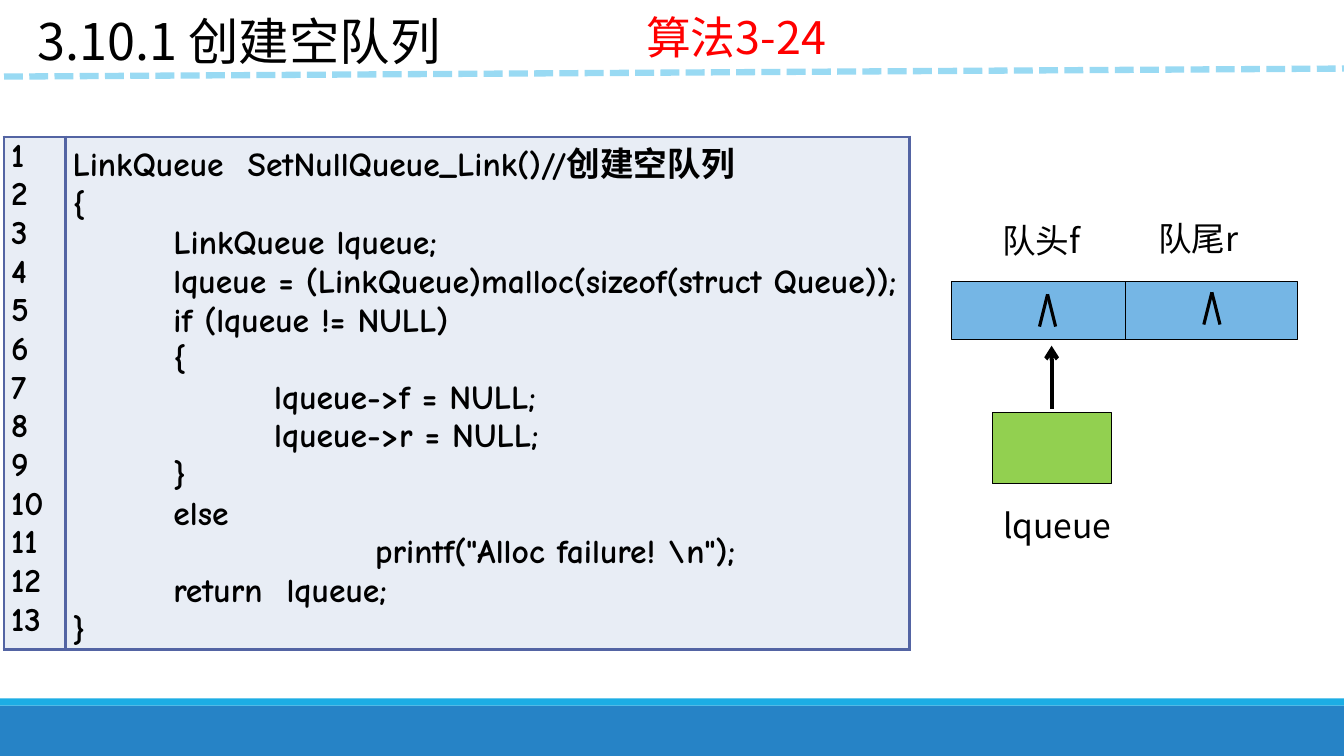
import pptx
import pptx.dml.color
import pptx.enum.dml
import pptx.enum.shapes
import pptx.enum.text
import pptx.oxml
import pptx.oxml.ns
import pptx.util

PX = 9144  # 100 px to the inch
SANS = "Noto Sans CJK SC"
CODE_FONT = "Comic Neue"
BLACK = "000000"
CODE = r"""LinkQueue  SetNullQueue_Link()//创建空队列
{
	LinkQueue lqueue;
	lqueue = (LinkQueue)malloc(sizeof(struct Queue));
	if (lqueue != NULL)
	{
		lqueue->f = NULL;
		lqueue->r = NULL;
	}
	else
			printf("Alloc failure! \n");
	return  lqueue;
}""".split("\n")


def px(*lengths):
    return [pptx.util.Emu(length * PX) for length in lengths]


def color(value):
    return pptx.dml.color.RGBColor.from_string(value)


def add_element(parent, tag, **attributes):
    element = parent.makeelement(pptx.oxml.ns.qn(tag), attributes)
    parent.append(element)
    return element


def style_paragraph(para, size, hue, face, bold=False):
    font = para.font
    font.size = pptx.util.Pt(size)
    font.bold = bold
    font.color.rgb = color(hue)
    font.name = face
    properties = para._p.pPr.find(pptx.oxml.ns.qn("a:defRPr"))
    add_element(properties, "a:ea", typeface=SANS)


def add_tab_stops(para):
    stops = add_element(para._p.get_or_add_pPr(), "a:tabLst")
    for position in px(100, 200, 300):
        add_element(stops, "a:tab", pos=str(position), algn="l")


def add_text(page, place, text, size, hue=BLACK, line_spacing=None):
    box = page.shapes.add_textbox(*px(*place))
    box.text_frame.word_wrap = True
    para = box.text_frame.paragraphs[0]
    para.text = text
    if line_spacing:
        para.line_spacing = pptx.util.Pt(line_spacing)
    style_paragraph(para, size, hue, SANS)


def add_rectangle(page, place, fill, outlined=True):
    kind = pptx.enum.shapes.MSO_SHAPE.RECTANGLE
    box = page.shapes.add_shape(kind, *px(*place))
    box.shadow.inherit = False
    box.fill.solid()
    box.fill.fore_color.rgb = color(fill)
    if outlined:
        box.line.color.rgb = color(BLACK)
        box.line.width = pptx.util.Pt(0.75)
    else:
        box.line.fill.background()


def add_line(shapes, ends, width, hue=BLACK):
    kind = pptx.enum.shapes.MSO_CONNECTOR.STRAIGHT
    line = shapes.add_connector(kind, *px(*ends))
    line.line.color.rgb = color(hue)
    line.line.width = pptx.util.Pt(width)
    add_element(line._element.spPr, "a:effectLst")
    return line


def add_null_mark(page, center, top):
    mark = page.shapes.add_group_shape()
    for side in (-8, 8):
        add_line(mark.shapes, (center, top, center + side, top + 32), 2.25)


def fill_cell(cell, lines):
    cell.margin_left = cell.margin_right = px(7)[0]
    cell.margin_top = cell.margin_bottom = 0
    cell.text = "\n".join(lines)
    for para in cell.text_frame.paragraphs:
        para.alignment = pptx.enum.text.PP_ALIGN.JUSTIFY
        add_tab_stops(para)
        style_paragraph(para, 24, BLACK, CODE_FONT, bold=True)
    properties = cell._tc.get_or_add_tcPr()
    for side in ("a:lnL", "a:lnR", "a:lnT", "a:lnB"):
        border = add_element(properties, side, w=str(pptx.util.Pt(2.25)))
        add_element(add_element(border, "a:solidFill"), "a:srgbClr", val="5364A3")
    cell.fill.solid()
    cell.fill.fore_color.rgb = color("E8EDF5")


def add_code_table(page):
    table = page.shapes.add_table(1, 2, *px(4, 136, 898, 489)).table
    table.first_row = table.horz_banding = False
    table.columns[0].width, table.columns[1].width = px(61, 837)
    fill_cell(table.cell(0, 0), [str(number + 1) for number in range(len(CODE))])
    fill_cell(table.cell(0, 1), CODE)


def add_queue_diagram(page):
    # Labels
    for left, top, width, text in ((1139, 210, 124, "队尾r"),
                                   (984, 212, 130, "队头f"),
                                   (985, 494, 157, "lqueue")):
        add_text(page, (left, top, width, 52), text, 24, line_spacing=30)

    # Front and rear fields, then the queue variable
    for left in (1115, 944):
        add_rectangle(page, (left, 279, 172, 58), "75B6E5")
    add_rectangle(page, (984, 409, 118, 71), "92D050")

    # Pointer and null marks
    pointer = add_line(page.shapes, (1043, 406, 1043, 343), 3)
    add_element(pointer.line._get_or_add_ln(), "a:tailEnd", type="arrow")
    add_null_mark(page, 1039, 292)
    add_null_mark(page, 1202, 290)


def main():
    deck = pptx.Presentation()
    deck.slide_width, deck.slide_height = px(1333, 750)
    page = deck.slides.add_slide(deck.slide_layouts[6])

    # Footer bands
    add_rectangle(page, (0, 700, 1333, 50), "2683C6", outlined=False)
    add_rectangle(page, (0, 693, 1333, 7), "1CADE4", outlined=False)

    add_code_table(page)

    # Heading
    rule = add_line(page.shapes, (4, 76, 1337, 68), 4.5, "99DAF3")
    rule.line.dash_style = pptx.enum.dml.MSO_LINE.SQUARE_DOT
    add_text(page, (27, 5, 496, 71), "3.10.1 创建空队列", 36)
    add_text(page, (631, 5, 229, 64), "算法3-24", 32, "FF0000")

    add_queue_diagram(page)
    deck.save("out.pptx")


if __name__ == "__main__":
    main()
